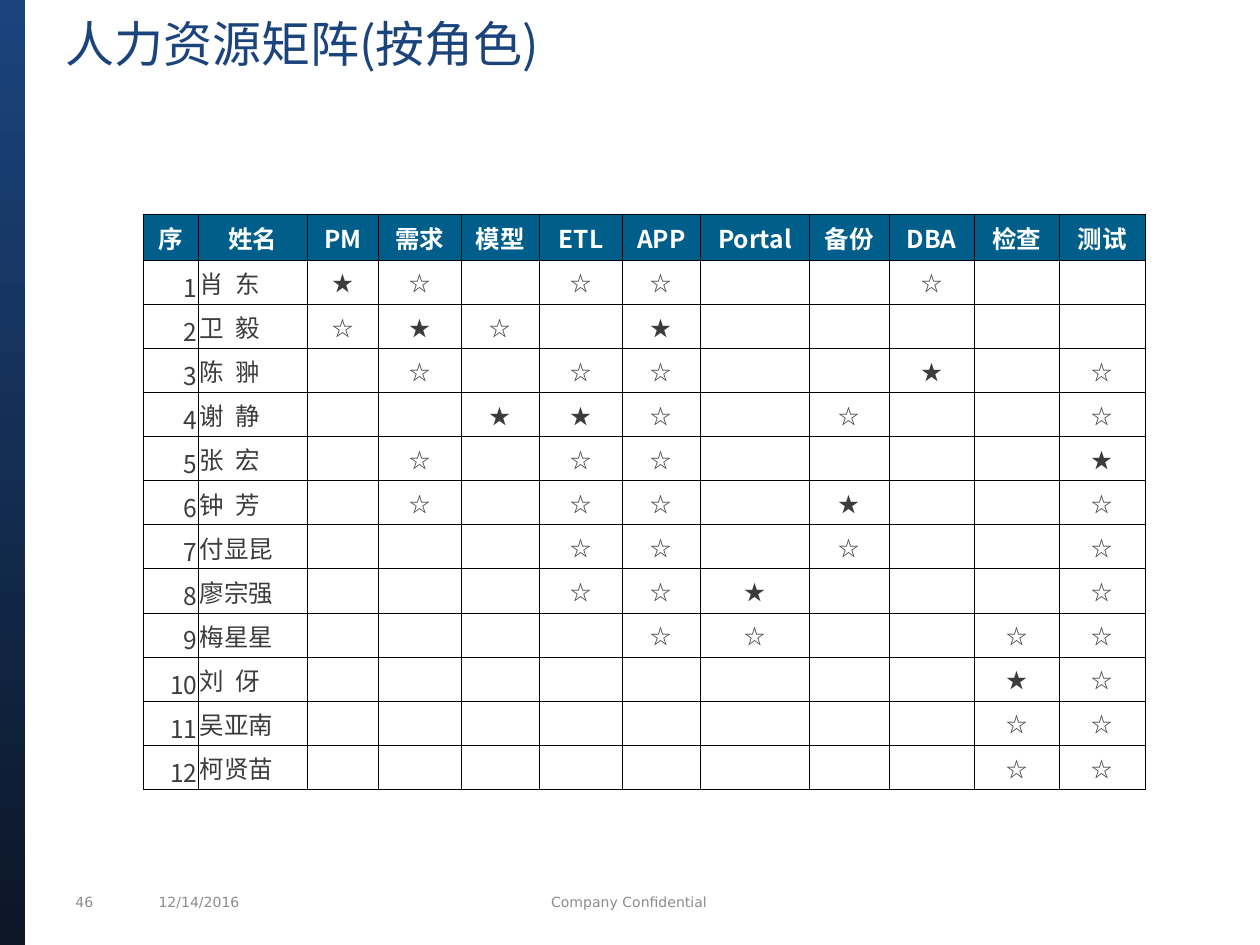
"""Build the slide of the human resource matrix by role."""
from lxml import etree
from pptx import Presentation
from pptx import util as u
from pptx.dml import color
from pptx.enum import shapes, text
from pptx.oxml import ns

AL, ANC = text.PP_ALIGN, text.MSO_ANCHOR
HEADS = "序 姓名 PM 需求 模型 ETL APP Portal 备份 DBA 检查 测试".split()
WIDTHS = [31.5, 62, 41, 47, 45, 47, 45, 62, 45.5, 48.8, 48.8, 48.8]
HEAD_H, ROW_H = 26.3, 25.2
PEOPLE = [
    ("肖  东", "★☆-☆☆--☆--"),
    ("卫  毅", "☆★☆-★-----"),
    ("陈  翀", "-☆-☆☆--★-☆"),
    ("谢  静", "--★★☆-☆--☆"),
    ("张  宏", "-☆-☆☆----★"),
    ("钟  芳", "-☆-☆☆-★--☆"),
    ("付显昆", "---☆☆-☆--☆"),
    ("廖宗强", "---☆☆★---☆"),
    ("梅星星", "----☆☆--☆☆"),
    ("刘  伢", "--------★☆"),
    ("吴亚南", "--------☆☆"),
    ("柯贤苗", "--------☆☆"),
]


def rgb(h):
    return color.RGBColor.from_string(h)


def assign(obj, values):
    for name, value in values.items():
        setattr(obj, name, value)


class Deck:
    cjk, sans = "Noto Sans CJK SC", "DejaVu Sans"
    navy, night, teal = "1B447D", "0C1627", "005E8A"
    ink, grey, white, black = "3C3C3B", "8B8B89", "FFFFFF", "000000"
    cell_fmt = dict(margin_left=u.Pt(0.7), margin_right=u.Pt(0.7),
                    margin_top=u.Pt(0.7), margin_bottom=0)

    def __init__(self, prs):
        self.s = prs.slides.add_slide(prs.slide_layouts[6])

    def put_text(self, tf, words, size, hue, font, align, bold=False, spacing=None):
        p = tf.paragraphs[0]
        assign(p, dict(alignment=align, line_spacing=spacing))
        r = p.add_run()
        r.text = words
        assign(r.font, dict(size=u.Pt(size), name=font, bold=bold))
        r.font.color.rgb = rgb(hue)
        ea = etree.SubElement(r._r.get_or_add_rPr(), ns.qn("a:ea"))
        ea.set("typeface", font)

    def bar(self, x, y, w, h):
        sp = self.s.shapes.add_shape(shapes.MSO_SHAPE.RECTANGLE, *map(u.Pt, (x, y, w, h)))
        sp.shadow.inherit = False
        sp.line.fill.background()
        sp.fill.gradient()
        sp.fill.gradient_angle = 90
        for stop, hue, pos in zip(sp.fill.gradient_stops, (self.night, self.navy), (0, 1)):
            stop.color.rgb = rgb(hue)
            stop.position = pos

    def label(self, x, y, w, h, words, size, hue, font, align=AL.LEFT,
              anchor=ANC.MIDDLE, spacing=None):
        tf = self.s.shapes.add_textbox(*map(u.Pt, (x, y, w, h))).text_frame
        assign(tf, dict(word_wrap=True, vertical_anchor=anchor,
                        margin_top=0, margin_bottom=0))
        self.put_text(tf, words, size, hue, font, align, spacing=spacing)

    def borders(self, cell):
        tc_pr = cell._tc.get_or_add_tcPr()
        for side in "LRTB":
            ln = etree.SubElement(tc_pr, ns.qn(f"a:ln{side}"), w=str(u.Pt(0.5)))
            fill = etree.SubElement(ln, ns.qn("a:solidFill"))
            etree.SubElement(fill, ns.qn("a:srgbClr"), val=self.black)

    def cell(self, cell, words, size=14, hue=ink, align=AL.CENTER,
             anchor=ANC.MIDDLE, bold=False, fill=None):
        assign(cell, dict(self.cell_fmt, vertical_anchor=anchor))
        self.borders(cell)
        if fill:
            cell.fill.solid()
            cell.fill.fore_color.rgb = rgb(fill)
        else:
            cell.fill.background()
        if words:
            self.put_text(cell.text_frame, words, size, hue, self.cjk, align, bold)

    def matrix(self, x, y):
        rows, cols = len(PEOPLE) + 1, len(HEADS)
        height = HEAD_H + ROW_H * len(PEOPLE)
        tb = self.s.shapes.add_table(rows, cols, *map(u.Pt, (x, y, sum(WIDTHS), height))).table
        assign(tb, dict(first_row=False, horz_banding=False))
        for col, w in zip(tb.columns, WIDTHS):
            col.width = u.Pt(w)
        for i, row in enumerate(tb.rows):
            row.height = u.Pt(ROW_H if i else HEAD_H)
        for j, head in enumerate(HEADS):
            self.cell(tb.cell(0, j), head, hue=self.white, bold=True, fill=self.teal)
        for i, (name, marks) in enumerate(PEOPLE, 1):
            self.cell(tb.cell(i, 0), str(i), align=AL.RIGHT, anchor=ANC.BOTTOM)
            self.cell(tb.cell(i, 1), name, align=AL.LEFT)
            for j, mark in enumerate(marks, 2):
                self.cell(tb.cell(i, j), mark.strip("-"), size=12)


def main():
    prs = Presentation()
    assign(prs, dict(slide_width=u.Pt(720), slide_height=u.Pt(540)))
    d = Deck(prs)
    for x, w, words, align in [(36, 36, "46", AL.LEFT),
                               (83.5, 120, "12/14/2016", AL.LEFT),
                               (209.5, 300, "Company Confidential", AL.CENTER)]:
        d.label(x, 507, w, 17, words, 8, d.grey, d.sans, align)
    d.bar(0, 0, 14.4, 540)
    d.label(30.5, 11.5, 672, 55, "人力资源矩阵(按角色)", 28, d.navy, d.cjk,
            anchor=ANC.TOP, spacing=0.9)
    d.matrix(82, 122.4)
    prs.save("out.pptx")


if __name__ == "__main__":
    main()
